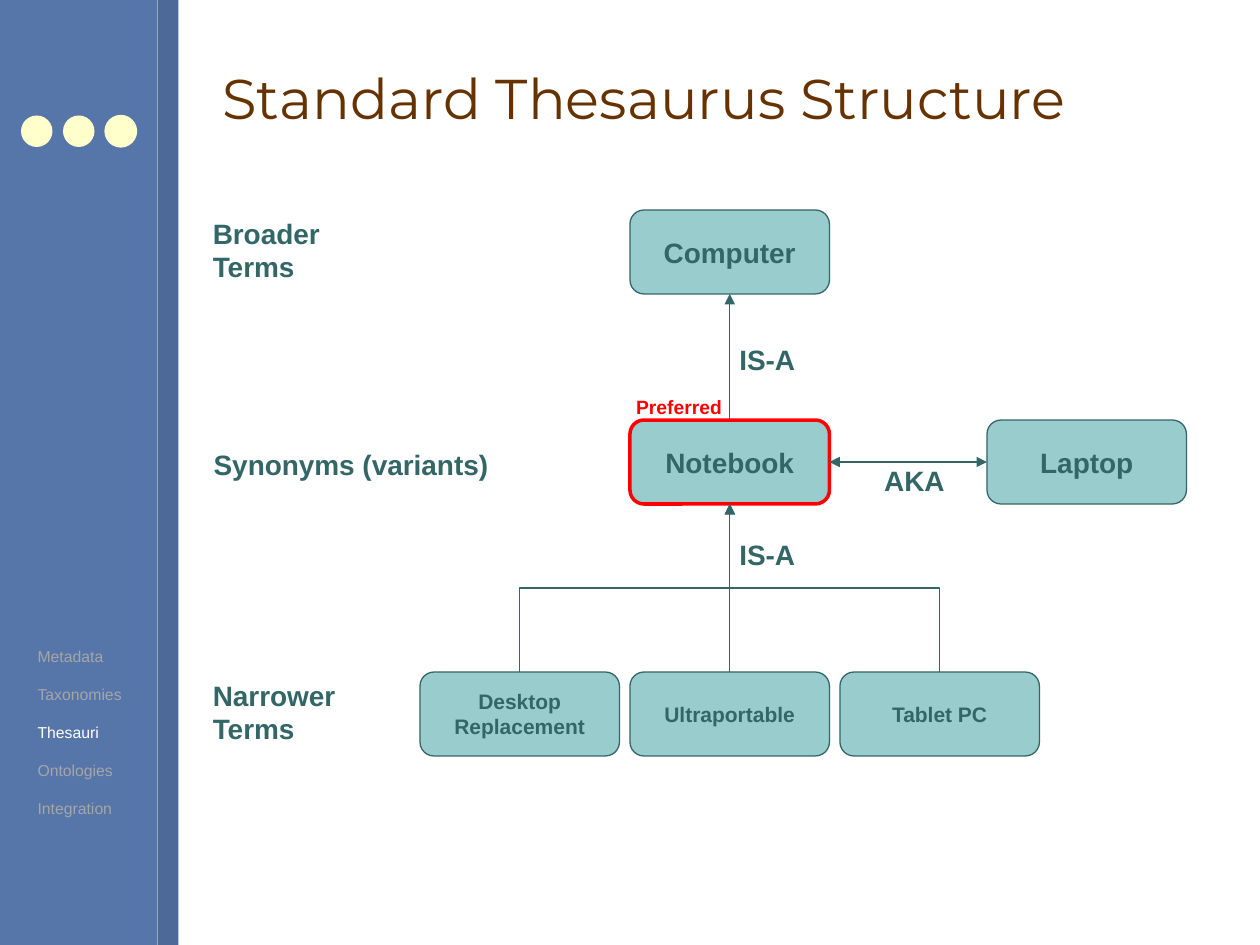
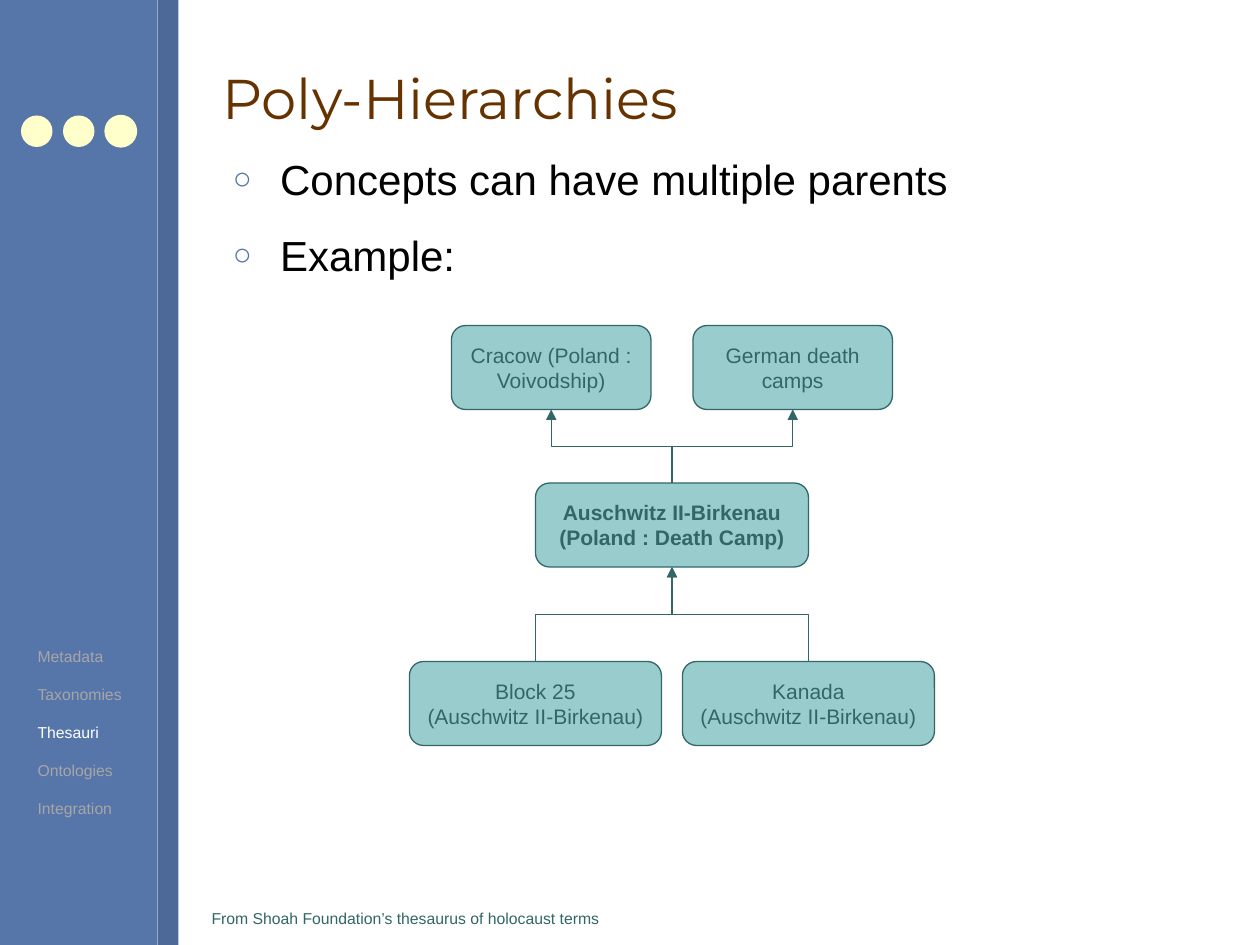
from lxml.etree import SubElement
from pptx import Presentation
from pptx.dml.color import RGBColor
from pptx.enum.shapes import MSO_CONNECTOR, MSO_SHAPE
from pptx.enum.text import MSO_ANCHOR, MSO_AUTO_SIZE, PP_ALIGN
from pptx.oxml.ns import qn
from pptx.util import Pt

WHITE, BLACK, RED = "FFFFFF", "000000", "FF0000"
BLUE, DARK_BLUE, CREAM = "5675A9", "4D6997", "FFFFCC"
TEAL, PALE_TEAL, BROWN, GREY = "336666", "99CCCC", "663300", "A6A6A6"
TOPICS = ["Metadata", "Taxonomies", "Thesauri", "Ontologies", "Integration"]
TOP, LEFT, BOTTOM, RIGHT = range(4)
NODE_WIDTH, NODE_HEIGHT = 114, 48


def color(value):
    return RGBColor.from_string(value)


class Composer:
    def __init__(self):
        self.deck = Presentation()
        self.deck.slide_width, self.deck.slide_height = Pt(720), Pt(540)
        self.page = None

    def start(self, title, current_topic):
        self.page = self.deck.slides.add_slide(self.deck.slide_layouts[6])
        self.shape(MSO_SHAPE.RECTANGLE, 0, 0, 90, 540, BLUE)
        self.shape(MSO_SHAPE.RECTANGLE, 90, 0, 12, 540, DARK_BLUE)
        for index in range(3):
            line = CREAM if index == 2 else None
            self.shape(MSO_SHAPE.OVAL, 12 + 24 * index, 66, 18, 18, CREAM, line)
        heading = self.text(title, 120, 15, 576, 81, 32, BROWN, font="Montserrat")
        heading.text_frame.vertical_anchor = MSO_ANCHOR.MIDDLE
        menu = self.text("\n".join(TOPICS), 14.4, 365.8, 70, 105, 9, GREY)
        for index, para in enumerate(menu.text_frame.paragraphs):
            if index:
                para.space_before = Pt(10.9)
            if para.text == current_topic:
                para.runs[0].font.color.rgb = color(WHITE)

    def style(self, frame, size, ink, bold=False, font="Arial"):
        for para in frame.paragraphs:
            for span in para.runs:
                span.font.name, span.font.size = font, Pt(size)
                span.font.bold = bold
                span.font.color.rgb = color(ink)

    def shape(self, kind, left, top, width, height, fill, line=None, weight=0.75):
        box = self.page.shapes.add_shape(kind, Pt(left), Pt(top), Pt(width), Pt(height))
        box.shadow.inherit = False
        box.fill.solid()
        box.fill.fore_color.rgb = color(fill)
        if line:
            box.line.color.rgb = color(line)
            box.line.width = Pt(weight)
        else:
            box.line.fill.background()
        return box

    def text(self, words, left, top, width, height, size, ink=TEAL, bold=False,
             font="Arial"):
        box = self.page.shapes.add_textbox(Pt(left), Pt(top), Pt(width), Pt(height))
        frame = box.text_frame
        frame.word_wrap = True
        frame.auto_size = MSO_AUTO_SIZE.NONE
        frame.text = words
        self.style(frame, size, ink, bold, font)
        return box

    def bullets(self, lines, left, top, width, height):
        box = self.text("\n".join(lines), left, top, width, height, 24, BLACK)
        for index, para in enumerate(box.text_frame.paragraphs):
            para.space_before = Pt(7.5 if index else 0)
            para.space_after = Pt(7.5)
            properties = para._p.get_or_add_pPr()
            properties.set("marL", str(Pt(27)))
            properties.set("indent", str(-Pt(27)))
            tint = SubElement(properties, qn("a:buClr"))
            SubElement(tint, qn("a:srgbClr"), val=BLUE)
            SubElement(properties, qn("a:buSzPct"), val="75000")
            SubElement(properties, qn("a:buFont"), typeface="Arial")
            SubElement(properties, qn("a:buChar"), char="○")

    def node(self, words, left, top, width=NODE_WIDTH, size=12, bold=False,
             line=TEAL, weight=0.75):
        box = self.shape(MSO_SHAPE.ROUNDED_RECTANGLE, left, top, width, NODE_HEIGHT,
                         PALE_TEAL, line, weight)
        frame = box.text_frame
        frame.word_wrap = True
        frame.vertical_anchor = MSO_ANCHOR.MIDDLE
        frame.text = words
        frame.paragraphs[0].alignment = PP_ALIGN.CENTER
        self.style(frame, size, TEAL, bold)
        return box

    def connect(self, kind, first, first_site, second, second_site, ends):
        link = self.page.shapes.add_connector(kind, 0, 0, 0, 0)
        link.begin_connect(first, first_site)
        link.end_connect(second, second_site)
        link.line.color.rgb = color(TEAL)
        link.line.width = Pt(0.75)
        for end in ends:
            SubElement(link.line._get_or_add_ln(), qn(end), type="triangle")
        SubElement(link._element.spPr, qn("a:effectLst"))
        return link

    def is_a(self, parent, child):
        link = self.connect(MSO_CONNECTOR.ELBOW, parent, BOTTOM, child, TOP, ["a:headEnd"])
        start, end = parent.left + parent.width // 2, child.left + child.width // 2
        upper, lower = parent.top + parent.height, child.top
        across, down = abs(end - start), lower - upper
        link.left, link.top = (start + end - down) // 2, (upper + lower - across) // 2
        link.width, link.height = down, across
        frame = link._element.spPr.find(qn("a:xfrm"))
        frame.set("rot", str((270 if end > start else 90) * 60000))
        frame.set("flipH", "1" if end > start else "0")
        frame.set("flipV", "0")

    def also_known_as(self, first, second):
        self.connect(MSO_CONNECTOR.STRAIGHT, first, RIGHT, second, LEFT,
                     ["a:headEnd", "a:tailEnd"])


def thesaurus_structure(composer):
    composer.start("Standard Thesaurus Structure", "Thesauri")
    computer = composer.node("Computer", 360, 120, size=16, bold=True)
    notebook = composer.node("Notebook", 360, 240, size=16, bold=True, line=RED, weight=2)
    laptop = composer.node("Laptop", 564, 240, size=16, bold=True)
    for index, term in enumerate(["Desktop\vReplacement", "Ultraportable", "Tablet PC"]):
        narrower = composer.node(term, 240 + 120 * index, 384, bold=True)
        composer.is_a(notebook, narrower)
    composer.is_a(computer, notebook)
    composer.also_known_as(notebook, laptop)
    for words, left, top, width, height in [
        ("IS-A", 415.4, 192.2, 52, 26.6),
        ("IS-A", 415.4, 303.4, 52, 26.6),
        ("AKA", 498.2, 261.4, 55, 26.6),
        ("Synonyms (variants)", 115, 252, 178, 26.6),
        ("Narrower\nTerms", 114.5, 384, 90, 46),
        ("Broader\nTerms", 114.5, 120, 82, 46),
    ]:
        composer.text(words, left, top, width, height, 16, bold=True)
    composer.text("Preferred", 356.4, 222.2, 70, 20.9, 11, RED, bold=True)


def poly_hierarchies(composer):
    composer.start("Poly-Hierarchies", "Thesauri")
    composer.bullets(["Concepts can have multiple parents", "Example:"], 126, 84, 570, 414)
    camp = composer.node("Auschwitz II-Birkenau (Poland : Death Camp)", 306, 276, 156,
                         bold=True)
    for index, term in enumerate(["Cracow (Poland : Voivodship)", "German death camps"]):
        composer.is_a(composer.node(term, 258 + 138 * index, 186), camp)
    for index, term in enumerate(["Block 25", "Kanada"]):
        part = composer.node(f"{term}\v(Auschwitz II-Birkenau)", 234 + 156 * index, 378, 144)
        composer.is_a(camp, part)
    composer.text("From Shoah Foundation’s thesaurus of holocaust terms",
                  113.8, 515.5, 318, 18, 9)


def main():
    composer = Composer()
    thesaurus_structure(composer)
    poly_hierarchies(composer)
    composer.deck.save("out.pptx")


if __name__ == "__main__":
    main()
